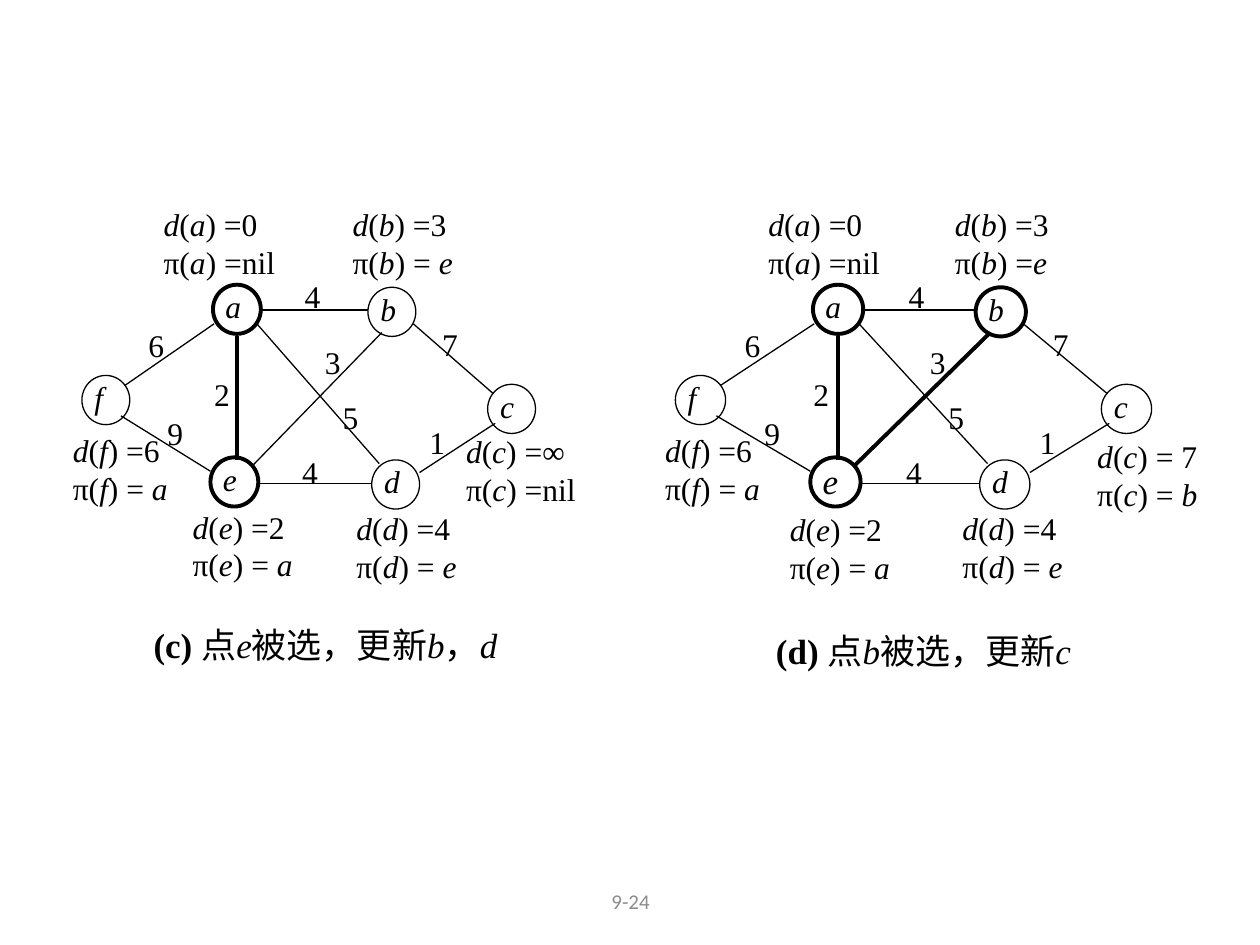
from pptx import Presentation
from pptx.dml.color import RGBColor
from pptx.enum.shapes import MSO_CONNECTOR, MSO_SHAPE
from pptx.enum.text import MSO_ANCHOR, PP_ALIGN
from pptx.oxml.ns import qn
from pptx.util import Inches, Pt
from lxml import etree

BLACK = RGBColor(0, 0, 0)
WHITE = RGBColor(255, 255, 255)
GRAY = RGBColor(0x8C, 0x8C, 0x8C)
OVAL = MSO_SHAPE.OVAL
STRAIGHT = MSO_CONNECTOR.STRAIGHT
CENTER, MIDDLE = PP_ALIGN.CENTER, MSO_ANCHOR.MIDDLE
THIN, THICK = 0.75, 2.25

# Graph geometry, in inches, as laid out in the left panel
NODES = {"a": (1.69, 2.26), "e": (1.67, 3.63), "c": (3.87, 3.05),
         "b": (2.92, 2.28), "d": (2.95, 3.65), "f": (0.65, 2.98)}
EDGES = {  # edge: (x1, y1, x2, y2, weight, weight x, weight y)
    "ab": (2.07, 2.46, 2.92, 2.46, 4, 2.32, 2.15),
    "ed": (2.05, 3.84, 2.95, 3.84, 4, 2.30, 3.55),
    "ae": (1.88, 2.67, 1.88, 3.65, 2, 1.60, 2.93),
    "bc": (3.28, 2.57, 3.91, 3.12, 7, 3.41, 2.53),
    "be": (3.03, 2.64, 2.00, 3.70, 3, 2.48, 2.67),
    "ad": (2.03, 2.56, 3.01, 3.68, 5, 2.62, 3.11),
    "cd": (3.93, 3.36, 3.33, 3.75, 1, 3.31, 3.31),
    "fa": (0.99, 3.06, 1.70, 2.57, 6, 1.08, 2.54),
    "fe": (0.96, 3.30, 1.67, 3.74, 9, 1.23, 3.24),
}


class GraphSlide:
    """Draws graph panels; x is mapped to left + (x - first node x) * scale."""
    font, size = "Times New Roman", 18

    def __init__(self, prs):
        self.s = prs.slides.add_slide(prs.slide_layouts[6])
        self.shapes = self.s.shapes

    def start_panel(self, left, scale):
        self.shapes = self.s.shapes.add_group_shape().shapes
        self.left, self.scale = left, scale

    def x(self, value):
        return self.left + (value - NODES["f"][0]) * self.scale

    def text(self, x, y, w, h, lines, size=None, bold_start="",
             color=BLACK, font=None):
        """Text between asterisks is italic."""
        box = self.shapes.add_textbox(Inches(x), Inches(y), Inches(w), Inches(h))
        tf = box.text_frame
        tf.word_wrap = True
        for i, line in enumerate(lines):
            p = tf.add_paragraph() if i else tf.paragraphs[0]
            p.font.name, p.font.size = font or self.font, Pt(size or self.size)
            p.font.color.rgb = color
            if bold_start:
                r = p.add_run()
                r.text, r.font.bold = bold_start, True
            for k, part in enumerate(line.split("*")):
                if part:
                    r = p.add_run()
                    r.text = part
                    r.font.italic = k % 2 == 1
        return tf

    def node(self, name, width, size):
        x, y = NODES[name]
        x = self.x(x)
        sp = self.shapes.add_shape(OVAL, Inches(x), Inches(y),
                                   Inches(0.38 * self.scale), Inches(0.39))
        sp.shadow.inherit = False
        sp.fill.solid()
        sp.fill.fore_color.rgb = WHITE
        sp.line.color.rgb = BLACK
        sp.line.width = Pt(width)
        self.text(x, y - 0.03, 0.49 * self.scale, 0.46, [f"*{name}*"], size)

    def edge(self, x1, y1, x2, y2, width):
        line = self.shapes.add_connector(STRAIGHT, Inches(self.x(x1)), Inches(y1),
                                         Inches(self.x(x2)), Inches(y2))
        line.line.color.rgb = BLACK
        line.line.width = Pt(width)
        etree.SubElement(line._element.spPr, qn("a:effectLst"))

    def weight(self, value, x, y):
        self.text(self.x(x), y, 0.49 * self.scale, 0.46, [str(value)])

    def label(self, name, x, y, distance, parent):
        self.text(x, y, 1.29 if name == "c" else 1.19, 0.73,
                  [f"*d*(*{name}*) {distance}", f"π(*{name}*) {parent}"])

    def graph(self, left, scale, thick, labels, sizes):
        self.start_panel(left, scale)
        for name in NODES:
            self.node(name, THICK if name in thick else THIN, sizes.get(name))
        for name, (x1, y1, x2, y2, value, wx, wy) in EDGES.items():
            self.edge(x1, y1, x2, y2, THICK if name in thick else THIN)
            self.weight(value, wx, wy)
        for row in labels:
            self.label(*row)

    def page_number(self, value):
        self.shapes = self.s.shapes
        tf = self.text(3.42, 6.95, 3.17, 0.4, [value], 12, color=GRAY, font="Calibri")
        tf.vertical_anchor = MIDDLE
        tf.paragraphs[0].alignment = CENTER


def main():
    prs = Presentation()
    prs.slide_width, prs.slide_height = Inches(10), Inches(7.5)
    slide = GraphSlide(prs)

    # Step (c): e is selected
    slide.graph(0.65, 1, {"a", "e", "ae"}, [
        ("a", 1.20, 1.58, "=0", "=nil"),
        ("b", 2.70, 1.58, "=3", "= *e*"),
        ("c", 3.60, 3.38, "=∞", "=nil"),
        ("d", 2.73, 3.99, "=4", "= *e*"),
        ("e", 1.43, 3.98, "=2", "= *a*"),
        ("f", 0.48, 3.37, "=6", "= *a*"),
    ], {})
    slide.text(1.12, 4.9, 3.12, 0.53, ["点*e*被选，更新*b*，*d*"], 20, "(c) ")

    # Step (d): b is selected
    slide.graph(5.36, 1.05, {"a", "e", "b", "ae", "be"}, [
        ("a", 6.00, 1.58, "=0", "=nil"),
        ("b", 7.48, 1.58, "=3", "=*e*"),
        ("c", 8.61, 3.42, "= 7", "= *b*"),
        ("d", 7.54, 3.99, "=4", "= *e*"),
        ("e", 6.17, 4.00, "=2", "= *a*"),
        ("f", 5.18, 3.37, "=6", "= *a*"),
    ], {"e": 20})
    slide.text(6.06, 4.95, 2.83, 0.45, ["点*b*被选，更新*c*"], 20, "(d) ")

    slide.page_number("9-24")
    prs.save("out.pptx")


if __name__ == "__main__":
    main()
